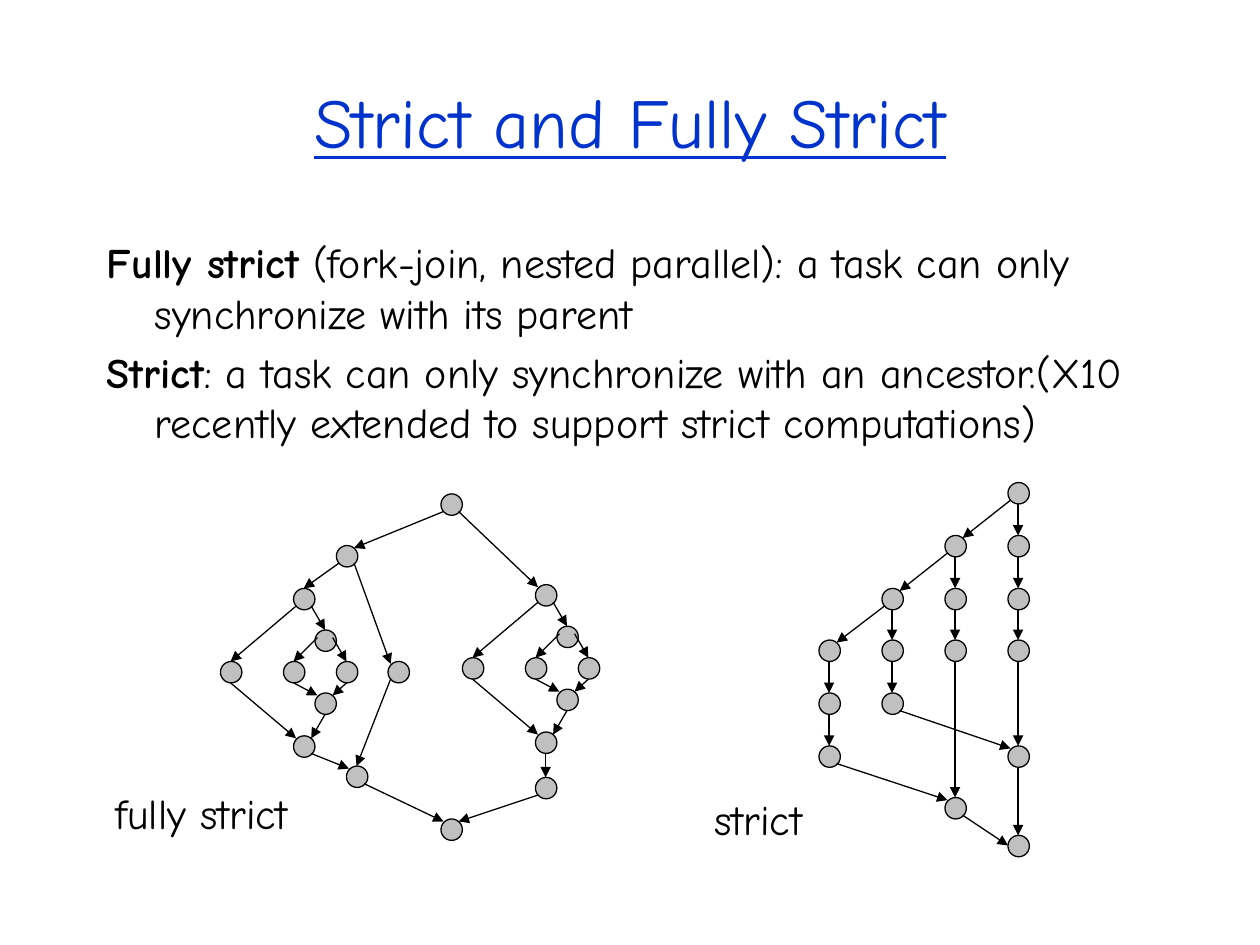
from lxml import etree
from pptx import Presentation
from pptx.dml.color import RGBColor
from pptx.enum.shapes import MSO_CONNECTOR, MSO_SHAPE
from pptx.enum.text import MSO_ANCHOR, PP_ALIGN
from pptx.oxml.ns import qn
from pptx.util import Inches, Pt

STRAIGHT = MSO_CONNECTOR.STRAIGHT
OVAL = MSO_SHAPE.OVAL
MIDDLE = MSO_ANCHOR.MIDDLE
CENTER = PP_ALIGN.CENTER


def color(value):
    return RGBColor.from_string(value)


def add_text(left, top, width, height, paragraphs, size=24, ink="000000", wrap=True):
    box = page.shapes.add_textbox(Inches(left), Inches(top), Inches(width), Inches(height))
    frame = box.text_frame
    frame.word_wrap = wrap
    for index, runs in enumerate(paragraphs):
        para = frame.paragraphs[0] if index == 0 else frame.add_paragraph()
        for text, bold in runs:
            span = para.add_run()
            span.text = text
            if bold:
                span.font.bold = True
        if index:
            para.space_before = Pt(5)
        if len(paragraphs) > 1:
            properties = para._p.get_or_add_pPr()
            properties.set("marL", str(Inches(0.38)))
            properties.set("indent", str(Inches(-0.38)))
            tabs = etree.SubElement(properties, qn("a:tabLst"))
            etree.SubElement(tabs, qn("a:tab"), pos=str(Inches(7.72)), algn="l")
        para.font.name = "Comic Neue"
        para.font.size = Pt(size)
        para.font.color.rgb = color(ink)
    return frame


deck = Presentation()
deck.slide_width = Inches(10)
deck.slide_height = Inches(7.5)
page = deck.slides.add_slide(deck.slide_layouts[6])

title = add_text(0.75, 0.5, 8.5, 0.92, [[("Strict and Fully Strict", False)]], 40, "0033CC")
title.vertical_anchor = MIDDLE
title.paragraphs[0].alignment = CENTER
title.paragraphs[0].font.underline = True

add_text(0.75, 1.83, 8.75, 1.92, [
    [("Fully strict", True),
     (" (fork-join, nested parallel): a task can only synchronize with its parent", False)],
    [("Strict", True),
     (": a task can only synchronize with an ancestor.\t(X10 recently extended "
      "to support strict computations)", False)],
])

nodes = {
    "root": (3.5, 3.92), "branch": (2.67, 4.33), "task": (3.08, 5.25),
    "meet": (2.75, 6.08), "last": (4.25, 6.17), "end": (3.5, 6.5),
}
edges = [
    ("root", "bl", "branch", "tr"), ("root", "br", "fork right", "tl"),
    ("branch", "bl", "fork left", "t"), ("branch", "br", "task", "tl"),
    ("join left", "br", "meet", "tl"), ("task", "bl", "meet", "t"),
    ("meet", "br", "end", "tl"), ("join right", "b", "last", "t"),
    ("last", "bl", "end", "tr"),
]

nested_nodes = {
    "fork": (0, 0), "outer": (-0.58, 0.58), "split": (0.17, 0.33),
    "inner one": (-0.08, 0.58), "inner two": (0.34, 0.58),
    "merge": (0.17, 0.83), "join": (0, 1.17),
}
nested_edges = [
    ("fork", "bl", "outer", "t"), ("fork", "br", "split", "t"),
    ("outer", "b", "join", "tl"), ("merge", "b", "join", "tr"),
    ("split", "inner l", "inner one", "t"), ("split", "inner r", "inner two", "t"),
    ("inner one", "b", "merge", "tl"), ("inner two", "b", "merge", "tr"),
]
for side, left, top in [("left", 2.33, 4.67), ("right", 4.25, 4.64)]:
    for name, (dx, dy) in nested_nodes.items():
        nodes[f"{name} {side}"] = (left + dx, top + dy)
    for start, leave, finish, arrive in nested_edges:
        edges.append((f"{start} {side}", leave, f"{finish} {side}", arrive))

strict_columns = [
    (8, [3.83, 4.25, 4.67, 5.08, 5.92, 6.63]),
    (7.5, [4.25, 4.67, 5.08, 6.33]),
    (7, [4.67, 5.08, 5.5]),
    (6.5, [5.08, 5.5, 5.92]),
]
for column, (left, tops) in enumerate(strict_columns):
    for row, top in enumerate(tops):
        nodes[column, row] = (left, top)
        if row:
            edges.append(((column, row - 1), "b", (column, row), "t"))
    if column:
        edges.append(((column - 1, 0), "bl", (column, 0), "tr"))
edges += [
    ((2, 2), "br", (0, 4), "tl"),
    ((3, 2), "br", (1, 3), "tl"),
    ((1, 3), "br", (0, 5), "l"),
]

for left, top in nodes.values():
    node = page.shapes.add_shape(OVAL, Inches(left), Inches(top), Inches(0.17), Inches(0.17))
    node.shadow.inherit = False
    node.fill.solid()
    node.fill.fore_color.rgb = color("C0C0C0")
    node.line.color.rgb = color("000000")
    node.line.width = Pt(0.75)

anchors = {
    "t": (0.08, 0), "b": (0.08, 0.17), "l": (0, 0.08),
    "tl": (0.02, 0.02), "tr": (0.14, 0.02), "bl": (0.02, 0.14), "br": (0.14, 0.14),
    "inner l": (0.02, 0.06), "inner r": (0.14, 0.06),
}
for start, leave, finish, arrive in edges:
    ends = []
    for name, anchor in [(start, leave), (finish, arrive)]:
        for place, offset in zip(nodes[name], anchors[anchor]):
            ends.append(Inches(place + offset))
    arrow = page.shapes.add_connector(STRAIGHT, *ends)
    arrow.line.color.rgb = color("000000")
    arrow.line.width = Pt(0.75)
    etree.SubElement(arrow.line._get_or_add_ln(), qn("a:tailEnd"), type="triangle")
    etree.SubElement(arrow._element.spPr, qn("a:effectLst"))

add_text(0.82, 6.2, 1.64, 0.5, [[("fully strict", False)]], wrap=False)
add_text(5.57, 6.25, 0.92, 0.5, [[("strict", False)]], wrap=False)

deck.save("out.pptx")
